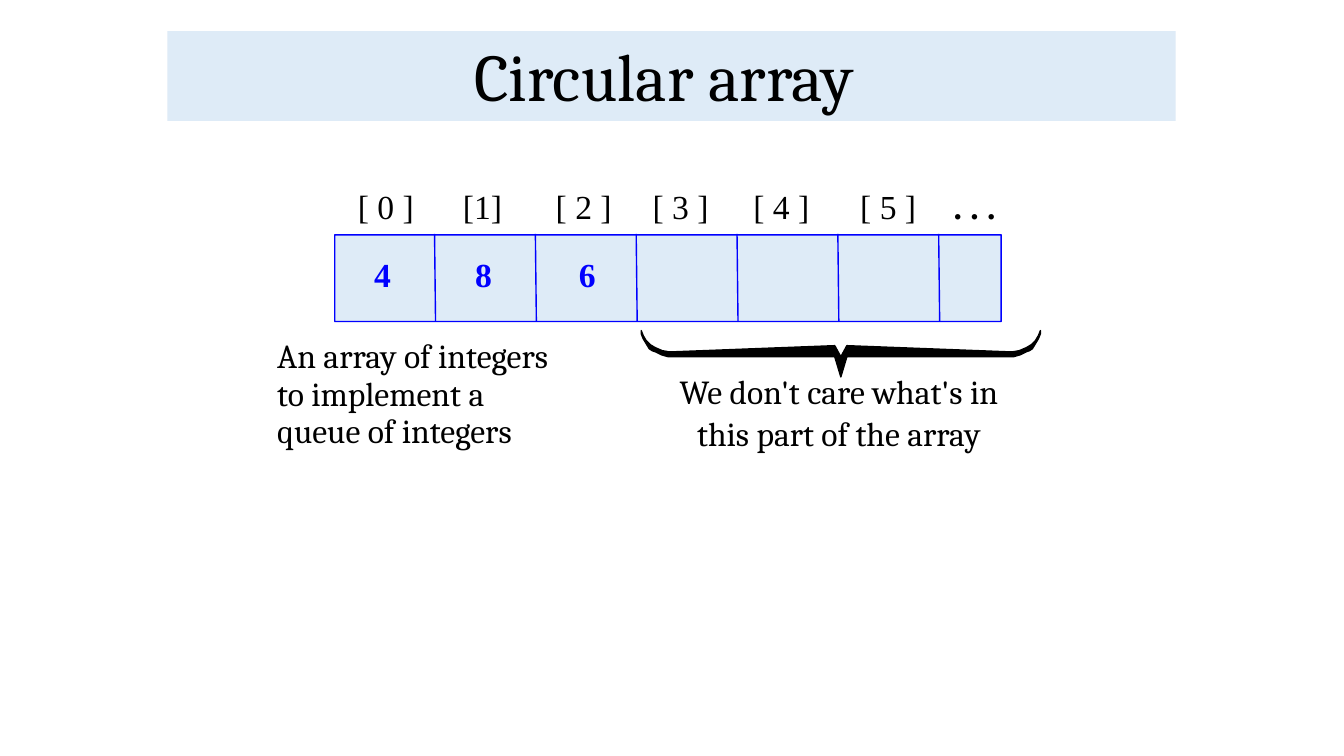
import pptx
import pptx.util
import pptx.dml.color
import pptx.enum.shapes
import pptx.enum.text
import pptx.oxml.ns
import lxml.etree

Inches = pptx.util.Inches
Pt = pptx.util.Pt
CENTER = pptx.enum.text.PP_ALIGN.CENTER
LEFT = pptx.enum.text.PP_ALIGN.LEFT
ROUNDED = pptx.enum.shapes.MSO_SHAPE.ROUNDED_RECTANGLE
SERIF = "Times New Roman"
BLUE = "0000FF"
PALE_BLUE = "DEEBF7"
BLACK = "000000"


def color(hex_string):
    return pptx.dml.color.RGBColor.from_string(hex_string)


def write_text(shape, text, size=24, font="Cambria", fill=BLACK, bold=False,
               align=CENTER, spacings=(0.93,), wrap=False,
               anchor=pptx.enum.text.MSO_ANCHOR.TOP):
    frame = shape.text_frame
    frame.text = text
    frame.word_wrap = wrap
    frame.auto_size = pptx.enum.text.MSO_AUTO_SIZE.NONE
    frame.vertical_anchor = anchor
    for paragraph, spacing in zip(frame.paragraphs, spacings):
        paragraph.alignment = align
        paragraph.line_spacing = spacing
        paragraph.font.size = Pt(size)
        paragraph.font.name = font
        paragraph.font.bold = bold
        paragraph.font.color.rgb = color(fill)


presentation = pptx.Presentation()
presentation.slide_width = Inches(13.33)
presentation.slide_height = Inches(7.5)
slide = presentation.slides.add_slide(presentation.slide_layouts[0])
shapes = slide.shapes

subtitle = slide.placeholders[1]
subtitle.element.getparent().remove(subtitle.element)
title = shapes.title
title.left, title.top, title.width, title.height = map(Inches, (1.66, 0.31, 10, 0.89))
title.fill.solid()
title.fill.fore_color.rgb = color(PALE_BLUE)
write_text(title, "Circular array ", size=47.7, spacings=(0.9,), wrap=True,
           anchor=pptx.enum.text.MSO_ANCHOR.BOTTOM)

array = shapes.add_shape(ROUNDED, Inches(3.32), Inches(2.33), Inches(6.61), Inches(0.86))
array.adjustments[0] = 0.002
array.shadow.inherit = False
array.fill.solid()
array.fill.fore_color.rgb = color(PALE_BLUE)
array.line.color.rgb = color(BLUE)
array.line.width = Pt(1)

for index in range(6):
    divider = shapes.add_connector(pptx.enum.shapes.MSO_CONNECTOR.STRAIGHT,
                                   Inches(4.31 + index), Inches(2.32),
                                   Inches(4.32 + index), Inches(3.19))
    divider.line.color.rgb = color(BLUE)
    divider.line.width = Pt(1)
    lxml.etree.SubElement(divider.element.spPr, pptx.oxml.ns.qn("a:effectLst"))

index_format = dict(font=SERIF)
value_format = dict(font=SERIF, fill=BLUE, bold=True)
labels = [
    ("[ 0 ]", 3.45, 1.83, 0.76, 0.47, dict(font=SERIF, align=LEFT)),
    ("[1]", 4.49, 1.83, 0.59, 0.47, index_format),
    ("[ 2 ]", 5.41, 1.83, 0.76, 0.47, index_format),
    ("[ 3 ]", 6.37, 1.83, 0.76, 0.47, index_format),
    ("[ 4 ]", 7.37, 1.83, 0.76, 0.47, index_format),
    ("[ 5 ]", 8.43, 1.83, 0.76, 0.47, index_format),
    (". . .", 9.36, 1.83, 0.62, 0.47, dict(font=SERIF, bold=True, align=LEFT)),
    ("An array of integers to implement a queue of integers",
     2.65, 3.31, 2.97, 1.6, dict(align=LEFT, wrap=True)),
    ("4", 3.6, 2.51, 0.39, 0.5, value_format),
    ("8", 4.6, 2.51, 0.39, 0.5, value_format),
    ("6", 5.64, 2.51, 0.37, 0.47, value_format),
    ("We don't care what's in\nthis part of the array",
     6.5, 3.67, 3.64, 0.88, dict(spacings=(0.93, 1.0)))]
for text, left, top, width, height, text_format in labels:
    label = shapes.add_shape(ROUNDED, Inches(left), Inches(top), Inches(width), Inches(height))
    label.adjustments[0] = 0.003
    label.shadow.inherit = False
    label.fill.background()
    label.line.fill.background()
    write_text(label, text, **text_format)

brace_center = 8.34
brace_half = [
    (0, 3.74), (0.06, 3.54), (1.64, 3.54), (1.71, 3.54), (1.78, 3.52), (1.84, 3.49),
    (1.87, 3.48), (1.9, 3.46), (1.93, 3.41), (1.96, 3.36), (1.98, 3.31), (1.98, 3.28),
    (1.96, 3.33), (1.93, 3.38), (1.89, 3.42), (1.84, 3.45), (1.77, 3.48), (1.71, 3.49),
    (1.64, 3.49), (0.06, 3.43), (0, 3.54)]
mirrored_half = [(-offset, y) for offset, y in reversed(brace_half[1:-1])]
outline = [(Inches(brace_center + offset), Inches(y)) for offset, y in brace_half + mirrored_half]
builder = shapes.build_freeform(*outline[0])
builder.add_line_segments(outline[1:], close=True)
brace = builder.convert_to_shape()
brace.shadow.inherit = False
brace.fill.solid()
brace.fill.fore_color.rgb = color(BLACK)
brace.line.color.rgb = color(BLACK)
brace.line.width = Pt(1)

presentation.save("out.pptx")
